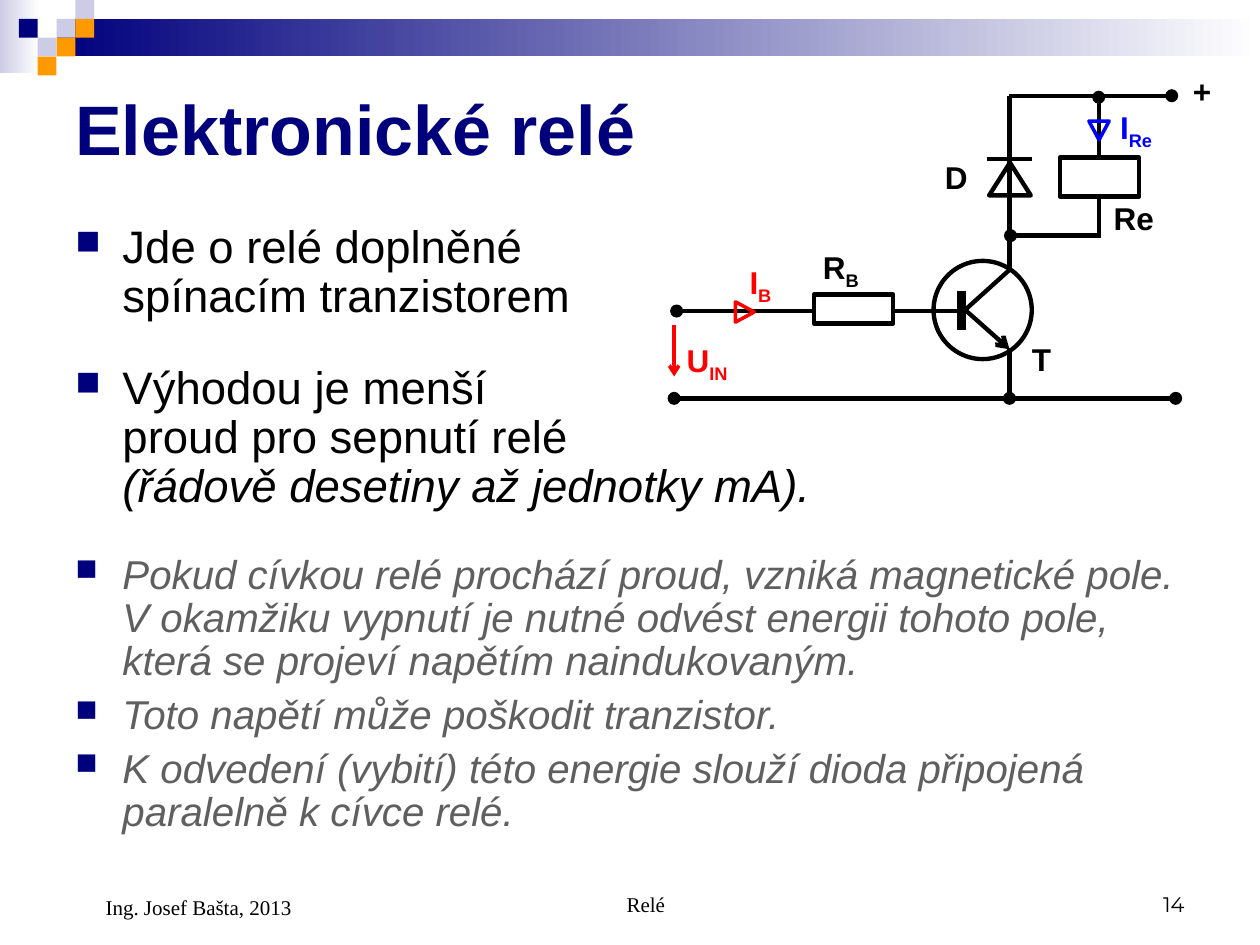
from lxml import etree
from pptx import Presentation
from pptx.dml.color import RGBColor
from pptx.enum.shapes import MSO_CONNECTOR, MSO_SHAPE
from pptx.enum.text import MSO_ANCHOR, PP_ALIGN
from pptx.oxml.ns import qn
from pptx.util import Cm, Pt

RECT, OVAL, TRIANGLE = MSO_SHAPE.RECTANGLE, MSO_SHAPE.OVAL, MSO_SHAPE.ISOSCELES_TRIANGLE
LEFT, CENTER, RIGHT = PP_ALIGN.LEFT, PP_ALIGN.CENTER, PP_ALIGN.RIGHT
TOP, MIDDLE, BOTTOM = MSO_ANCHOR.TOP, MSO_ANCHOR.MIDDLE, MSO_ANCHOR.BOTTOM
NAVY, LILAC, ORANGE, GREY = "00007D", "CCCCE6", "FF9900", "5F5F5F"
BLACK, WHITE, RED, BLUE = "000000", "FFFFFF", "FF0000", "0000FF"

# Header: gradient bars, then small squares as (column, row, colour)
BARS = [((0, 0, 0.79, 1.47), LILAC), ((1.14, 0.38, 24.26, 0.76), NAVY)]
SQUARE = 0.38
SQUARES = [(3, 1, LILAC), (4, 0, LILAC), (4, 1, ORANGE), (2, 2, LILAC),
           (1, 1, NAVY), (3, 2, ORANGE), (2, 3, ORANGE)]

# Body: (space before in pt, size, colour, runs as (text, italic))
BODY = [
    (0, 26, BLACK, [("Jde o relé doplněné\nspínacím tranzistorem", False)]),
    (24.5, 26, BLACK, [("Výhodou je menší\nproud pro sepnutí relé\n", False),
                       ("(řádově desetiny až jednotky mA).", True)]),
    (23.8, 23, GREY, [("Pokud cívkou relé prochází proud, vzniká magnetické pole. "
                       "V okamžiku vypnutí je nutné odvést energii tohoto pole, "
                       "která se projeví napětím naindukovaným.", True)]),
    (5.8, 23, GREY, [("Toto napětí může poškodit tranzistor.", True)]),
    (5.8, 23, GREY, [("K odvedení (vybití) této energie slouží dioda připojená "
                      "paralelně k cívce relé.", True)]),
]

# Circuit levels (cm)
X_IN, X_C, X_RE = 13.59, 20.35, 22.15
Y_PLUS, Y_NODE, Y_BASE, Y_GROUND = 1.93, 4.75, 6.27, 8.03

# Wires: x1, y1, x2, y2, colour, width, head, tail
WIRES = [
    (X_RE, Y_NODE, X_RE, 1.96, BLACK, 2.5, None, "oval"),
    (X_C, Y_GROUND, X_C, 7.01, BLACK, 2.5, "oval", None),
    (19.38, 5.87, 19.38, 6.65, BLACK, 5, None, None),
    (19.43, Y_BASE, X_C, 5.44, BLACK, 2.5, None, None),
    (19.46, 6.25, X_C, 7.04, BLACK, 2.5, None, "arrow"),
    (13.64, Y_BASE, 19.33, Y_BASE, BLACK, 2.5, "oval", None),
    (X_C, Y_PLUS, 23.62, Y_PLUS, BLACK, 2.5, None, "oval"),
    (20.37, Y_NODE, 22.2, Y_NODE, BLACK, 2.5, "oval", None),
    (X_C, 5.44, X_C, Y_PLUS, BLACK, 2.5, None, None),
    (X_IN, Y_GROUND, 23.7, Y_GROUND, BLACK, 2.5, "oval", "oval"),
    (19.89, 3.2, 20.8, 3.2, BLACK, 2.25, None, None),
    (X_IN, 6.55, X_IN, 7.59, RED, 2, None, "arrow"),
]

# Parts: kind, box, fill, line colour, width, rotation
PARTS = [
    (OVAL, (18.82, 5.26, 1.98, 1.98), None, BLACK, 2.5, 0),     # transistor
    (RECT, (16.41, 5.94, 1.6, 0.58), WHITE, BLACK, 2.5, 0),     # base resistor
    (TRIANGLE, (19.94, 3.28, 0.84, 0.66), None, BLACK, 2.5, 0),  # diode
    (RECT, (21.77, 2.77, 0.79, 1.6), WHITE, BLACK, 2.5, 90),    # relay coil
    (TRIANGLE, (14.81, 6.1, 0.41, 0.38), None, RED, 2, 90),
    (TRIANGLE, (21.95, 2.44, 0.41, 0.38), None, BLUE, 2, 180),
]

# Labels: text, subscript, box, colour
LABELS = [
    ("T", "", (20.8, 6.86, 0.61, 0.76), BLACK),
    ("R", "B", (16.59, 5, 1.3, 0.86), BLACK),
    ("+", "", (24.05, 1.45, 0.51, 0.76), BLACK),
    ("D", "", (19.05, 3.18, 0.66, 0.76), BLACK),
    ("Re", "", (22.45, 4.01, 1.3, 0.76), BLACK),
    ("U", "IN", (13.84, 6.88, 1.3, 0.86), RED),
    ("I", "B", (15.11, 5.31, 0.69, 0.86), RED),
    ("I", "Re", (22.58, 2.18, 0.91, 0.86), BLUE),
]

# Footer: text, box, alignment, font, indent
FOOTER = [
    ("Relé", (8.69, 17.35, 8.05, 1.27), CENTER, "Times New Roman", 0.61),
    ("14", (18.21, 17.35, 5.92, 1.27), RIGHT, "Montserrat", 0),
    ("Ing. Josef Bašta, 2013", (1.27, 17.35, 5.92, 1.32), LEFT, "Times New Roman", 0.61),
]


def rgb(color):
    return RGBColor.from_string(color)


def add_box(box, anchor=TOP, margins=(0.25, 0.13), wrap=True):
    tf = s.shapes.add_textbox(*map(Cm, box)).text_frame
    tf.word_wrap, tf.vertical_anchor = wrap, anchor
    tf.margin_left = tf.margin_right = Cm(margins[0])
    tf.margin_top = tf.margin_bottom = Cm(margins[1])
    return tf


def add_text(p, text, size=18, color=BLACK, font="Arial", bold=False,
             italic=False, subscript=False):
    for i, line in enumerate(text.split("\n")):
        if i:
            p.add_line_break()
        if not line:
            continue
        r = p.add_run()
        r.text = line
        r.font.size, r.font.name = Pt(size), font
        r.font.bold, r.font.italic = bold, italic
        r.font.color.rgb = rgb(color)
        if subscript:
            r.font._element.set("baseline", "-25000")


def set_indent(p, left, first=0):
    pPr = p._p.get_or_add_pPr()
    pPr.set("marL", str(Cm(left)))
    pPr.set("indent", str(Cm(first)))
    return pPr


def add_bullet(p):
    pPr = set_indent(p, 0.95, -0.95)
    clr = etree.SubElement(pPr, qn("a:buClr"))
    etree.SubElement(clr, qn("a:srgbClr"), val=NAVY)
    etree.SubElement(pPr, qn("a:buSzPct"), val="75000")
    etree.SubElement(pPr, qn("a:buChar"), char="■")


def add_part(kind, box, fill=None, line=None, width=0, rotation=0):
    sp = s.shapes.add_shape(kind, *map(Cm, box))
    sp.shadow.inherit = False
    sp.rotation = rotation
    if fill:
        sp.fill.solid()
        sp.fill.fore_color.rgb = rgb(fill)
    else:
        sp.fill.background()
    if line:
        sp.line.color.rgb, sp.line.width = rgb(line), Pt(width)
    else:
        sp.line.fill.background()
    return sp


def add_wire(x1, y1, x2, y2, color, width, head, tail):
    cx = s.shapes.add_connector(MSO_CONNECTOR.STRAIGHT, *map(Cm, (x1, y1, x2, y2)))
    cx.line.color.rgb, cx.line.width = rgb(color), Pt(width)
    ln = cx.line._get_or_add_ln()
    for tag, end in (("a:headEnd", head), ("a:tailEnd", tail)):
        if end:
            etree.SubElement(ln, qn(tag), type=end)
    etree.SubElement(cx._element.spPr, qn("a:effectLst"))


prs = Presentation()
prs.slide_width, prs.slide_height = Cm(25.4), Cm(19.05)
s = prs.slides.add_slide(prs.slide_layouts[6])

# Header decoration
for box, color in BARS:
    fill = add_part(RECT, box).fill
    fill.gradient()
    fill.gradient_angle = 180
    for stop, c in zip(fill.gradient_stops, (WHITE, color)):
        stop.color.rgb = rgb(c)
for col, row, color in SQUARES:
    add_part(RECT, (col * SQUARE, row * SQUARE, SQUARE, SQUARE), color)

# Body text
tf = add_box((1.27, 4.39, 22.86, 12.65))
for i, (before, size, color, runs) in enumerate(BODY):
    p = tf.add_paragraph() if i else tf.paragraphs[0]
    add_bullet(p)
    p.line_spacing, p.space_before = 0.9, Pt(before)
    for text, italic in runs:
        add_text(p, text, size=size, color=color, italic=italic)

# Circuit diagram
for wire in WIRES:
    add_wire(*wire)
for part in PARTS:
    add_part(*part)
for text, sub, box, color in LABELS:
    p = add_box(box, margins=(0, 0), wrap=False).paragraphs[0]
    add_text(p, text, color=color, bold=True)
    add_text(p, sub, color=color, bold=True, subscript=True)

# Title and footer
title = add_box((1.27, 1.27, 22.86, 2.62), MIDDLE).paragraphs[0]
add_text(title, "Elektronické relé", size=40, color=NAVY, bold=True)
for text, box, align, font, indent in FOOTER:
    p = add_box(box, BOTTOM).paragraphs[0]
    p.alignment = align
    set_indent(p, indent)
    add_text(p, text, size=12, font=font)

prs.save("out.pptx")
